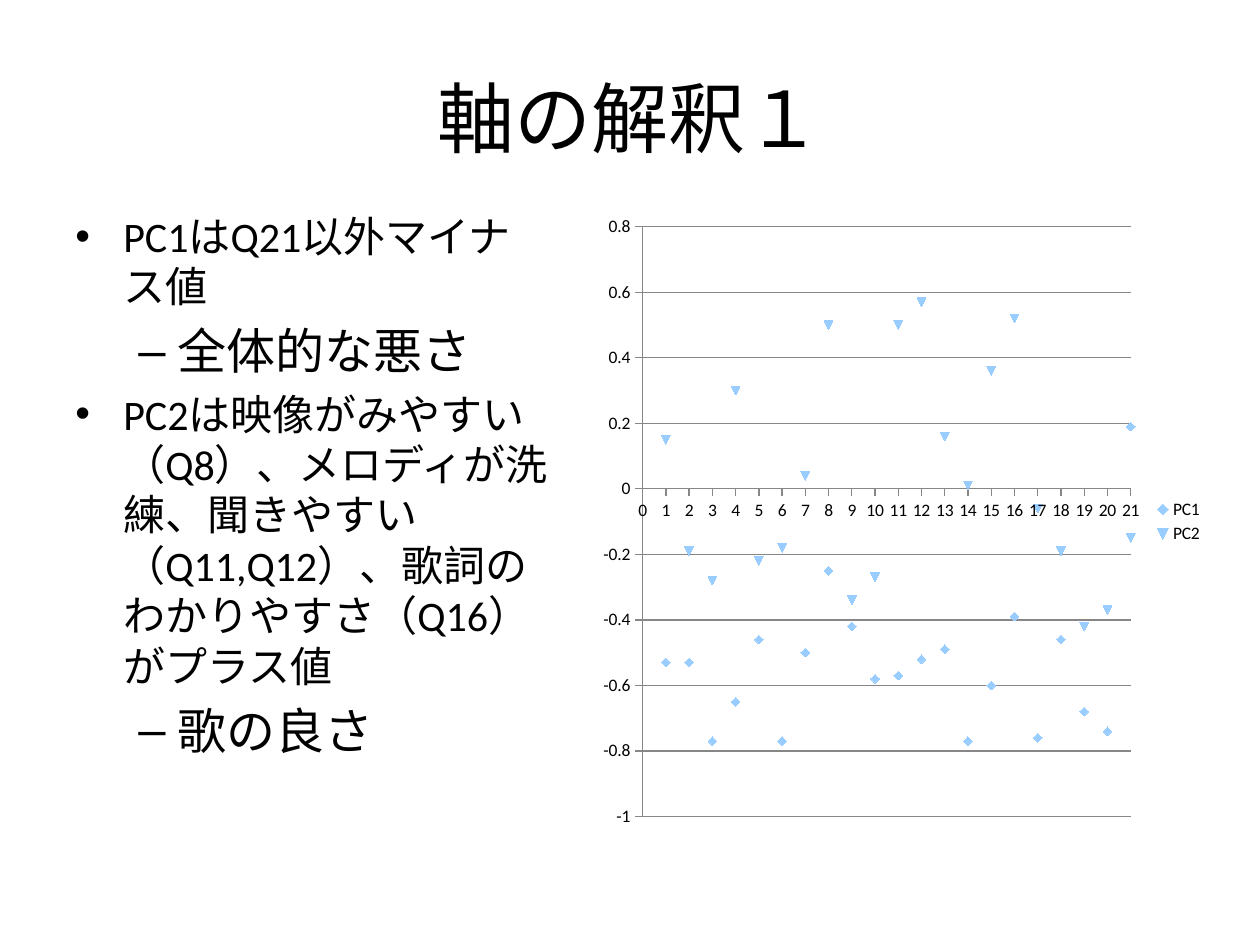
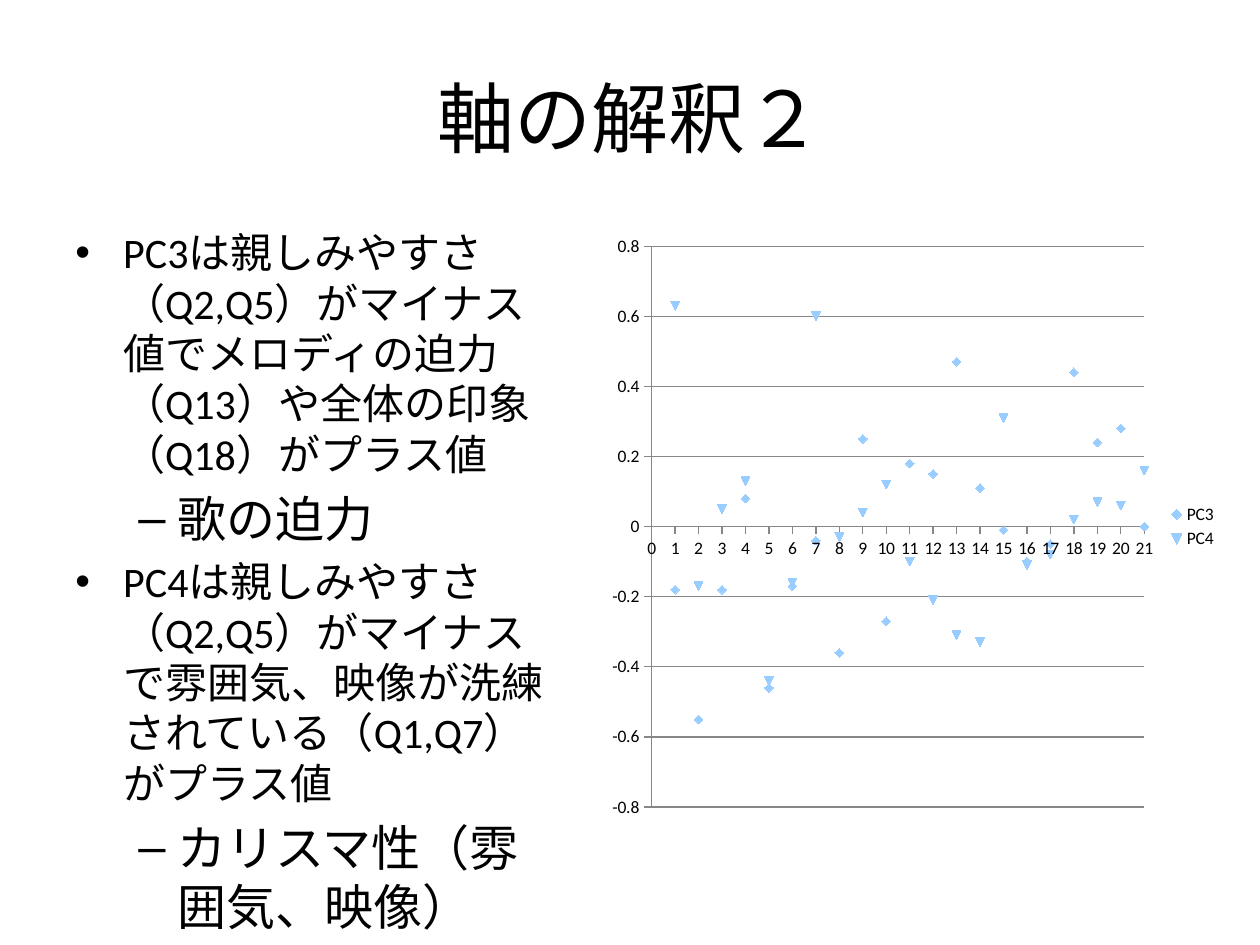
from lxml import etree
from pptx import Presentation
from pptx.chart.data import XyChartData
from pptx.dml.color import RGBColor
from pptx.enum.chart import XL_CHART_TYPE, XL_LEGEND_POSITION, XL_TICK_MARK
from pptx.enum.text import MSO_ANCHOR, PP_ALIGN
from pptx.oxml.ns import qn
from pptx.util import Inches, Pt

SCATTER = XL_CHART_TYPE.XY_SCATTER
RIGHT = XL_LEGEND_POSITION.RIGHT
OUT = XL_TICK_MARK.OUTSIDE
NONE = XL_TICK_MARK.NONE
MIDDLE = MSO_ANCHOR.MIDDLE
CENTER, LEFT = PP_ALIGN.CENTER, PP_ALIGN.LEFT

FONT, INK, GREY, MARK = "Calibri", "000000", "878787", "99CCFF"
LEVELS = [
    {"size": 24, "bullet": "•", "left": 0.38, "hang": 0.38},
    {"size": 28, "bullet": "–", "left": 0.81, "hang": 0.31},
]

SLIDES = [
    {
        "title": "軸の解釈１",
        "body": (0.5, 1.62, 3.95, 5.08),
        "points": [
            (0, "PC1はQ21以外マイナス値"),
            (1, "全体的な悪さ"),
            (0, "PC2は映像がみやすい（Q8）、メロディが洗練、聞きやすい"
                "（Q11,Q12）、歌詞のわかりやすさ（Q16）がプラス値"),
            (1, "歌の良さ"),
        ],
        "chart": (4.69, 1.62, 4.96, 5.04),
        "range": (-1, 0.8),
        "series": {
            "PC1": [-0.53, -0.53, -0.77, -0.65, -0.46, -0.77, -0.5,
                    -0.25, -0.42, -0.58, -0.57, -0.52, -0.49, -0.77,
                    -0.6, -0.39, -0.76, -0.46, -0.68, -0.74, 0.19],
            "PC2": [0.15, -0.19, -0.28, 0.3, -0.22, -0.18, 0.04,
                    0.5, -0.34, -0.27, 0.5, 0.57, 0.16, 0.01,
                    0.36, 0.52, -0.06, -0.19, -0.42, -0.37, -0.15],
        },
    },
    {
        "title": "軸の解釈２",
        "body": (0.5, 1.75, 4.03, 4.95),
        "points": [
            (0, "PC3は親しみやすさ（Q2,Q5）がマイナス値でメロディの迫力"
                "（Q13）や全体の印象（Q18）がプラス値"),
            (1, "歌の迫力"),
            (0, "PC4は親しみやすさ（Q2,Q5）がマイナスで雰囲気、映像が"
                "洗練されている（Q1,Q7）がプラス値"),
            (1, "カリスマ性（雰囲気、映像）"),
        ],
        "chart": (4.76, 1.78, 5, 4.8),
        "range": (-0.8, 0.8),
        "series": {
            "PC3": [-0.18, -0.55, -0.18, 0.08, -0.46, -0.17, -0.04,
                    -0.36, 0.25, -0.27, 0.18, 0.15, 0.47, 0.11,
                    -0.01, -0.1, -0.05, 0.44, 0.24, 0.28, 0],
            "PC4": [0.63, -0.17, 0.05, 0.13, -0.44, -0.16, 0.6,
                    -0.03, 0.04, 0.12, -0.1, -0.21, -0.31, -0.33,
                    0.31, -0.11, -0.08, 0.02, 0.07, 0.06, 0.16],
        },
    },
]


def color(code):
    return RGBColor.from_string(code)


def style(font, size):
    font.name, font.size = FONT, Pt(size)
    font.color.rgb = color(INK)


def write(para, text, size, align=LEFT, bullet=None, left=0, hang=0):
    run = para.add_run()
    run.text = text
    style(run.font, size)
    para.alignment = align
    if bullet:
        para.space_before = Pt(size * 0.2)
        props = para._p.get_or_add_pPr()
        props.set("marL", str(Inches(left)))
        props.set("indent", str(-Inches(hang)))
        etree.SubElement(props, qn("a:buFont")).set("typeface", "Arial")
        etree.SubElement(props, qn("a:buChar")).set("char", bullet)


def add_title(slide, text):
    title = slide.shapes.title
    title.left, title.top = Inches(0.5), Inches(0.3)
    title.width, title.height = Inches(9), Inches(1.25)
    title.text_frame.vertical_anchor = MIDDLE
    write(title.text_frame.paragraphs[0], text, 44, align=CENTER)


def add_body(slide, box, points):
    frame = slide.shapes.add_textbox(*map(Inches, box)).text_frame
    frame.word_wrap = True
    for num, (level, text) in enumerate(points):
        para = frame.add_paragraph() if num else frame.paragraphs[0]
        para.level = level
        write(para, text, **LEVELS[level])


def set_axis(axis, low, high, step, grid):
    axis.minimum_scale, axis.maximum_scale = low, high
    axis.major_unit = step
    axis.major_tick_mark, axis.minor_tick_mark = OUT, NONE
    axis.has_major_gridlines = grid
    axis.tick_labels.number_format = "General"
    axis.tick_labels.number_format_is_linked = False
    lines = [axis.format.line]
    if grid:
        lines.append(axis.major_gridlines.format.line)
    for line in lines:
        line.color.rgb = color(GREY)
        line.width = Pt(0.75)


def add_plot(slide, box, span, series):
    data = XyChartData()
    for name, vals in series.items():
        item = data.add_series(name)
        for x, y in enumerate(vals, 1):
            item.add_data_point(x, y)
    chart = slide.shapes.add_chart(SCATTER, *map(Inches, box), data).chart
    style(chart.font, 10)
    chart.has_title = False
    chart.has_legend = True
    chart.legend.position = RIGHT
    chart.legend.include_in_layout = False
    set_axis(chart.category_axis, 0, 21, 1, False)
    set_axis(chart.value_axis, *span, 0.2, True)
    chart.plots[0].vary_by_categories = False
    for item in chart.plots[0].series:
        item.smooth = False
        item.format.line.fill.background()
        fmt = item.marker.format
        fmt.fill.solid()
        fmt.fill.fore_color.rgb = color(MARK)
        fmt.line.color.rgb = color(MARK)


deck = Presentation()
deck.slide_width, deck.slide_height = Inches(10), Inches(7.5)
for page in SLIDES:
    slide = deck.slides.add_slide(deck.slide_layouts[5])
    add_title(slide, page["title"])
    add_body(slide, page["body"], page["points"])
    add_plot(slide, page["chart"], page["range"], page["series"])
deck.save("out.pptx")
